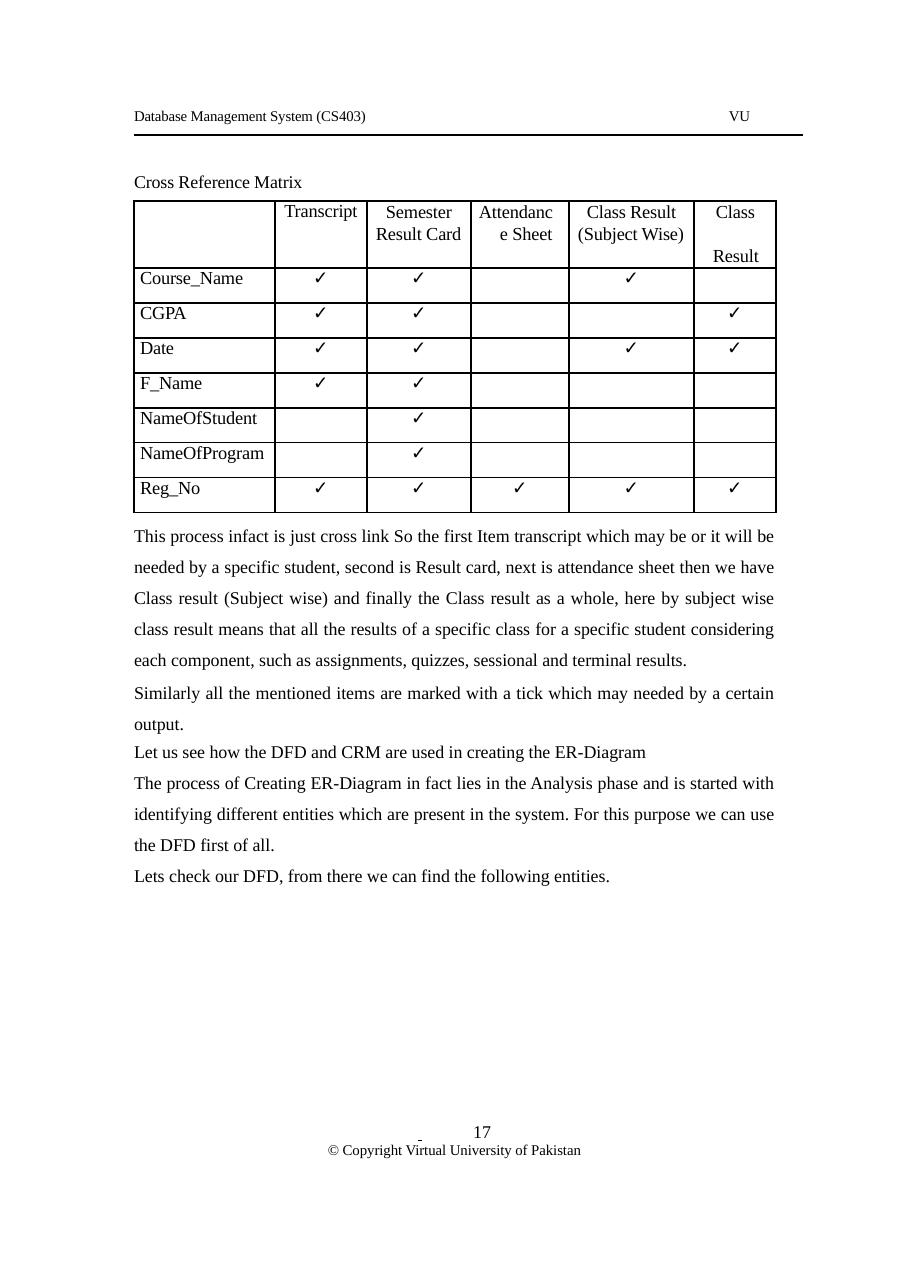
import dataclasses

import pptx
import pptx.dml.color
import pptx.enum.shapes
import pptx.enum.text
import pptx.oxml.ns
import pptx.util
from lxml import etree

EMU_PER_PX = 914400 / 110.2
ALIGN = pptx.enum.text.PP_ALIGN


@dataclasses.dataclass(frozen=True)
class Theme:
    ink: str = "000000"
    serif: str = "Times New Roman"
    tick_face: str = "Arial"
    small: float = 9.7
    body: float = 11.7
    cell: float = 12
    rule: float = 1


THEME = Theme()
TICK = "✓"

# Heading lines, left margin and first-line indent in px; no margin means centred
COLUMNS = [
    (141, [], None, 0),
    (92, ["Transcript"], None, 0),
    (104, ["Semester", "Result Card"], 9, 10),
    (98, ["Attendanc", "e Sheet"], 29, -21),
    (125, ["Class Result", "(Subject Wise)"], 9, 9),
    (82, ["Class", "Result"], 19, 3),
]
# Item and the columns it is ticked in
ITEMS = [
    ("Course_Name", {1, 2, 4}),
    ("CGPA", {1, 2, 5}),
    ("Date", {1, 2, 4, 5}),
    ("F_Name", {1, 2}),
    ("NameOfStudent", {2}),
    ("NameOfProgram", {2}),
    ("Reg_No", {1, 2, 3, 4, 5}),
]
# Text, line spacing and space before in points
DISCUSSION = [
    ("This process infact is just cross link So the first Item transcript which may be or it "
     "will be needed by a specific student, second is Result card, next is attendance sheet "
     "then we have Class result (Subject wise) and finally the Class result as a whole, here "
     "by subject wise class result means that all the results of a specific class for a "
     "specific student considering each component, such as assignments, quizzes, sessional "
     "and terminal results.", 1.44, 0),
    ("Similarly all the mentioned items are marked with a tick which may needed by a certain "
     "output.", pptx.util.Pt(20.2), 1.6),
    ("Let us see how the DFD and CRM are used in creating the ER-Diagram", 1.0, 4.3),
    ("The process of Creating ER-Diagram in fact lies in the Analysis phase and is started "
     "with identifying different entities which are present in the system. For this purpose "
     "we can use the DFD first of all.", 1.44, 0.1),
    ("Lets check our DFD, from there we can find the following entities.", 1.0, 6.1),
]


def px(length):
    return pptx.util.Emu(round(length * EMU_PER_PX))


def ink():
    return pptx.dml.color.RGBColor.from_string(THEME.ink)


def write(paragraph, text, size=THEME.body, face=THEME.serif, align=ALIGN.LEFT, line=1.0,
          before=0, margin=0, indent=0, tracking=-10, underline=False):
    """Add a run; tracking is in hundredths of a point, margin and indent in px."""
    paragraph.alignment = align
    paragraph.line_spacing = line
    paragraph.space_before = pptx.util.Pt(before)
    properties = paragraph._p.get_or_add_pPr()
    properties.set("marL", str(px(margin)))
    properties.set("indent", str(px(indent)))
    if properties.find(pptx.oxml.ns.qn("a:buNone")) is None:
        etree.SubElement(properties, pptx.oxml.ns.qn("a:buNone"))
    run = paragraph.add_run()
    run.text = text
    run.font.size = pptx.util.Pt(size)
    run.font.name = face
    run.font.color.rgb = ink()
    run.font.underline = underline
    run._r.get_or_add_rPr().set("spc", str(tracking))


def next_paragraph(frame, index):
    return frame.add_paragraph() if index else frame.paragraphs[0]


def prepare(shape, box):
    """Place a text shape and return its frame without insets."""
    shape.left, shape.top, shape.width, shape.height = map(px, box)
    frame = shape.text_frame
    frame.margin_left = frame.margin_right = frame.margin_top = frame.margin_bottom = 0
    frame.word_wrap = True
    frame.auto_size = pptx.enum.text.MSO_AUTO_SIZE.NONE
    frame.vertical_anchor = pptx.enum.text.MSO_ANCHOR.TOP
    return frame


def text_frame(slide, box):
    return prepare(slide.shapes.add_textbox(0, 0, 0, 0), box)


def page_header(slide, box):
    left, top, width, height = box
    course = text_frame(slide, (left, top, 300, 18))
    write(course.paragraphs[0], "Database Management System (CS403)", size=THEME.small)
    university = text_frame(slide, (left + 595, top, 40, 18))
    write(university.paragraphs[0], "VU", size=THEME.small)
    bottom = top + height
    rule = slide.shapes.add_connector(pptx.enum.shapes.MSO_CONNECTOR.STRAIGHT, px(left),
                                      px(bottom), px(left + width), px(bottom))
    rule.line.color.rgb = ink()
    rule.line.width = pptx.util.Pt(THEME.rule)
    etree.SubElement(rule._element.spPr, pptx.oxml.ns.qn("a:effectLst"))


def section_title(slide, box):
    write(prepare(slide.shapes.title, box).paragraphs[0], "Cross Reference Matrix")


def style_cell(cell):
    cell.margin_left = cell.margin_right = cell.margin_top = cell.margin_bottom = 0
    properties = cell._tc.get_or_add_tcPr()
    for side in ("lnL", "lnR", "lnT", "lnB"):
        border = etree.SubElement(properties, pptx.oxml.ns.qn("a:" + side),
                                  w=str(pptx.util.Pt(THEME.rule)))
        fill = etree.SubElement(border, pptx.oxml.ns.qn("a:solidFill"))
        etree.SubElement(fill, pptx.oxml.ns.qn("a:srgbClr"), val=THEME.ink)
    cell.fill.background()


def write_heading(cell, lines, margin, indent):
    paragraph = cell.text_frame.paragraphs[0]
    if margin is None:
        for line in lines:
            write(paragraph, line, size=THEME.cell, align=ALIGN.CENTER, before=1.4)
        return
    pitch = pptx.util.Pt(14.2)
    first, second = lines
    write(paragraph, first, size=THEME.cell, line=pitch, before=1.7,
          margin=margin, indent=indent)
    spread = 14.2 if first == "Class" else 0
    write(cell.text_frame.add_paragraph(), second, size=THEME.cell, line=pitch,
          before=spread, margin=margin)


def reference_matrix(slide, box):
    left, top, width, height = box
    heading_height = 67
    table = slide.shapes.add_table(len(ITEMS) + 1, len(COLUMNS), *map(px, box)).table
    table.first_row = table.horz_banding = False
    for cell in table.iter_cells():
        style_cell(cell)
    for row in table.rows:
        row.height = px((height - heading_height) / len(ITEMS))
    table.rows[0].height = px(heading_height)
    for column, (column_width, lines, margin, indent) in enumerate(COLUMNS):
        table.columns[column].width = px(column_width)
        write_heading(table.cell(0, column), lines, margin, indent)
    for row, (item, ticked) in enumerate(ITEMS, 1):
        write(table.cell(row, 0).text_frame.paragraphs[0], item, size=THEME.cell,
              before=1.6, margin=6)
        for column in sorted(ticked):
            write(table.cell(row, column).text_frame.paragraphs[0], TICK, size=THEME.cell,
                  face=THEME.tick_face, align=ALIGN.CENTER, before=1, tracking=0)


def discussion(slide, box):
    frame = prepare(slide.placeholders[1], box)
    for index, (text, line, before) in enumerate(DISCUSSION):
        write(next_paragraph(frame, index), text, align=ALIGN.JUSTIFY, line=line,
              before=before, tracking=-5)


def page_footer(slide, box):
    frame = text_frame(slide, box)
    number = frame.paragraphs[0]
    properties = number._p.get_or_add_pPr()
    etree.SubElement(properties, pptx.oxml.ns.qn("a:buNone"))
    tabs = etree.SubElement(properties, pptx.oxml.ns.qn("a:tabLst"))
    etree.SubElement(tabs, pptx.oxml.ns.qn("a:tab"), pos=str(px(618)), algn="l")
    for text, underline in ((" \t", True), ("17", False)):
        write(number, text, align=ALIGN.CENTER, line=pptx.util.Pt(12.2), tracking=0,
              underline=underline)
    write(frame.add_paragraph(), "© Copyright Virtual University of Pakistan",
          size=THEME.small, align=ALIGN.CENTER, line=pptx.util.Pt(11.2), tracking=-5)


def main():
    deck = pptx.Presentation()
    deck.slide_width, deck.slide_height = px(910), px(1288)
    slide = deck.slides.add_slide(deck.slide_layouts[1])
    page_header(slide, (134, 107, 669, 28))
    section_title(slide, (134, 171, 300, 22))
    reference_matrix(slide, (134, 201, 642, 312))
    discussion(slide, (134, 515, 640, 371))
    page_footer(slide, (130, 1123, 649, 35))
    deck.save("out.pptx")


if __name__ == "__main__":
    main()
